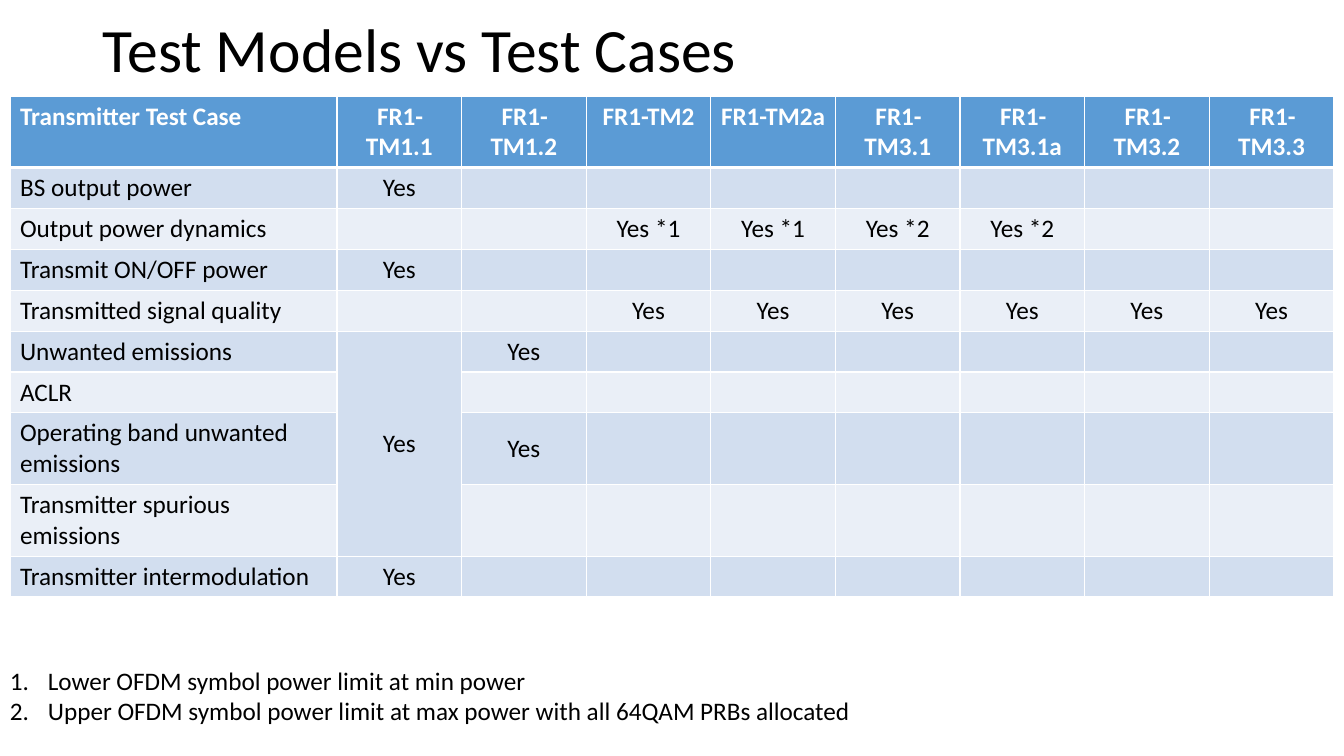
from dataclasses import dataclass
from typing import NamedTuple

from lxml.etree import SubElement
from pptx import Presentation
from pptx.dml.color import RGBColor as Color
from pptx.enum.text import MSO_ANCHOR as Anchor, MSO_AUTO_SIZE as AutoSize, PP_ALIGN as Align
from pptx.oxml.ns import qn
from pptx.util import Pt

EMU_PER_PX = 914400 / 100.8


def px(length):
    return round(length * EMU_PER_PX)


class Box(NamedTuple):
    left: int
    top: int
    width: int
    height: int

    def emu(self):
        return [px(length) for length in self]


@dataclass(frozen=True)
class Theme:
    font: str = "Calibri"
    title_size: int = 44
    body_size: int = 18
    ink: str = "000000"
    white: str = "FFFFFF"
    header: str = "5B9BD5"
    bands: tuple = ("D2DEEF", "EAEFF7")
    rule: int = 1
    header_rule: int = 3


THEME = Theme()
TITLE = "Test Models vs Test Cases"
MODELS = ["TM1.1", "TM1.2", "TM2", "TM2a", "TM3.1", "TM3.1a", "TM3.2", "TM3.3"]
TEST_CASES = [
    ("BS output power", {"TM1.1": "Yes"}),
    ("Output power dynamics",
     {"TM2": "Yes *1", "TM2a": "Yes *1", "TM3.1": "Yes *2", "TM3.1a": "Yes *2"}),
    ("Transmit ON/OFF power", {"TM1.1": "Yes"}),
    ("Transmitted signal quality", {model: "Yes" for model in MODELS[2:]}),
    ("Unwanted emissions", {"TM1.1": "Yes", "TM1.2": "Yes"}),
    ("ACLR", {}),
    ("Operating band unwanted emissions", {"TM1.2": "Yes"}),
    ("Transmitter spurious emissions", {}),
    ("Transmitter intermodulation", {"TM1.1": "Yes"}),
]
EMISSION_ROWS = (5, 8)
TALL_ROWS = (0, 7, 8)
NOTES = [
    "Lower OFDM symbol power limit at min power",
    "Upper OFDM symbol power limit at max power with all 64QAM PRBs allocated",
]


def add_span(para, text, size, color=THEME.ink, bold=False):
    span = para.add_run()
    span.text = text
    span.font.name = THEME.font
    span.font.size = Pt(size)
    span.font.bold = bold
    span.font.color.rgb = Color.from_string(color)


def add_title(page, box):
    frame = page.shapes.add_textbox(*box.emu()).text_frame
    frame.word_wrap = True
    frame.vertical_anchor = Anchor.MIDDLE
    para = frame.paragraphs[0]
    para.line_spacing = 0.9
    add_span(para, TITLE, THEME.title_size)


def add_border(cell, side, width):
    line = SubElement(cell._tc.get_or_add_tcPr(), qn(f"a:ln{side}"), w=str(Pt(width)))
    fill = SubElement(line, qn("a:solidFill"))
    SubElement(fill, qn("a:srgbClr"), val=THEME.white)


def fill_cell(cell, row, column, text):
    is_header = row == 0
    for side in "LRTB":
        under_header = (row, side) in ((0, "B"), (1, "T"))
        add_border(cell, side, THEME.header_rule if under_header else THEME.rule)
    cell.fill.solid()
    color = THEME.header if is_header else THEME.bands[(row - 1) % 2]
    cell.fill.fore_color.rgb = Color.from_string(color)
    para = cell.text_frame.paragraphs[0]
    para.font.size = Pt(THEME.body_size)
    if column:
        para.alignment = Align.CENTER
        if not is_header:
            cell.vertical_anchor = Anchor.MIDDLE
    if text:
        add_span(para, text, THEME.body_size, THEME.white if is_header else THEME.ink, is_header)


def add_case_table(page, box, name_width=327, row_height=40, tall_height=71):
    rows = [["Transmitter Test Case"] + [f"FR1-{model}" for model in MODELS]]
    rows += [[name] + [marks.get(model, "") for model in MODELS] for name, marks in TEST_CASES]
    table = page.shapes.add_table(len(rows), len(rows[0]), *box.emu()).table
    table.first_row = False
    table.horz_banding = False
    model_width = (box.width - name_width) / len(MODELS)
    for index, column in enumerate(table.columns):
        column.width = px(model_width if index else name_width)
    for row, texts in enumerate(rows):
        table.rows[row].height = px(tall_height if row in TALL_ROWS else row_height)
        for column, text in enumerate(texts):
            fill_cell(table.cell(row, column), row, column, text)
    first, last = EMISSION_ROWS
    table.cell(first, 1).merge(table.cell(last, 1))


def add_notes_list(page, box, indent=38):
    frame = page.shapes.add_textbox(*box.emu()).text_frame
    frame.word_wrap = False
    frame.auto_size = AutoSize.SHAPE_TO_FIT_TEXT
    for index, note in enumerate(NOTES):
        para = frame.add_paragraph() if index else frame.paragraphs[0]
        settings = para._p.get_or_add_pPr()
        settings.set("marL", str(px(indent)))
        settings.set("indent", str(-px(indent)))
        SubElement(settings, qn("a:buFont"), typeface="+mj-lt")
        SubElement(settings, qn("a:buAutoNum"), type="arabicPeriod")
        add_span(para, note, THEME.body_size)


def main():
    deck = Presentation()
    deck.slide_width, deck.slide_height = px(1344), px(756)
    page = deck.slides.add_slide(deck.slide_layouts[6])
    add_case_table(page, Box(10, 96, 1324, 494))
    add_notes_list(page, Box(0, 660, 870, 72))
    add_title(page, Box(93, 10, 1159, 85))
    deck.save("out.pptx")


if __name__ == "__main__":
    main()
